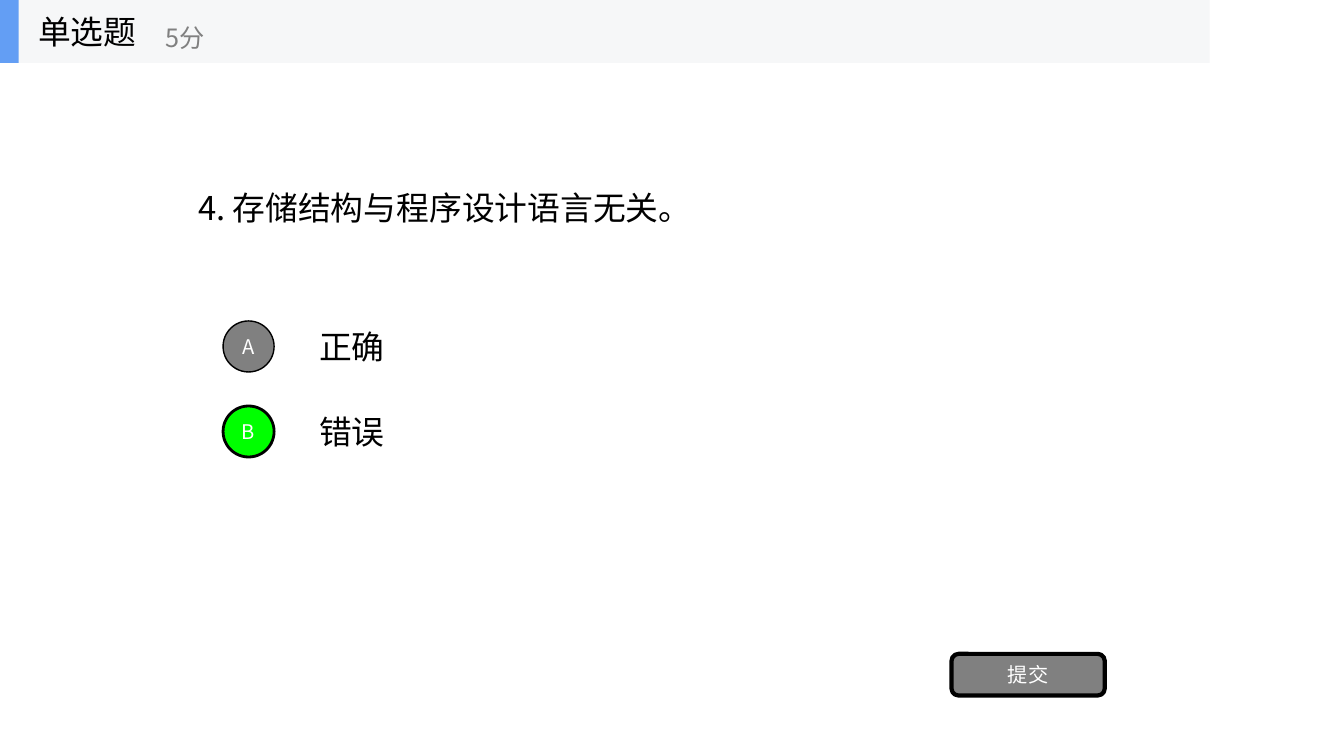
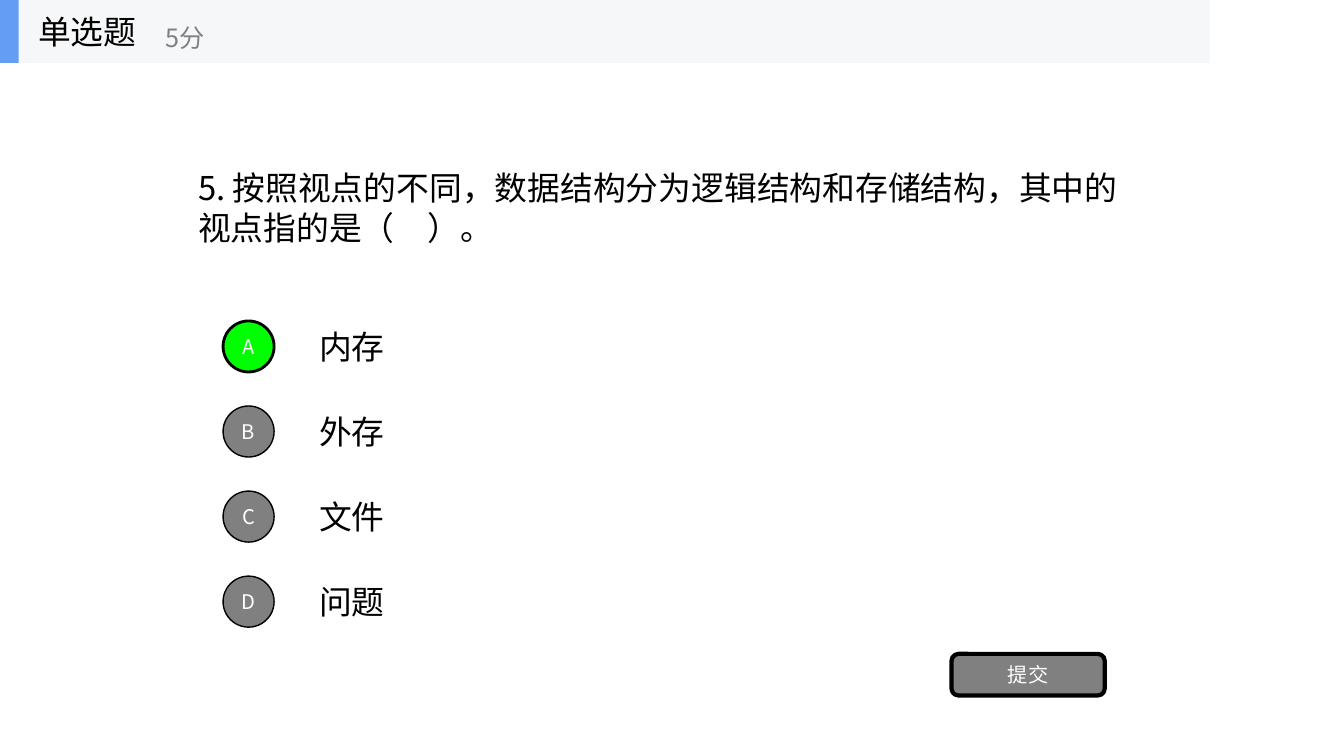
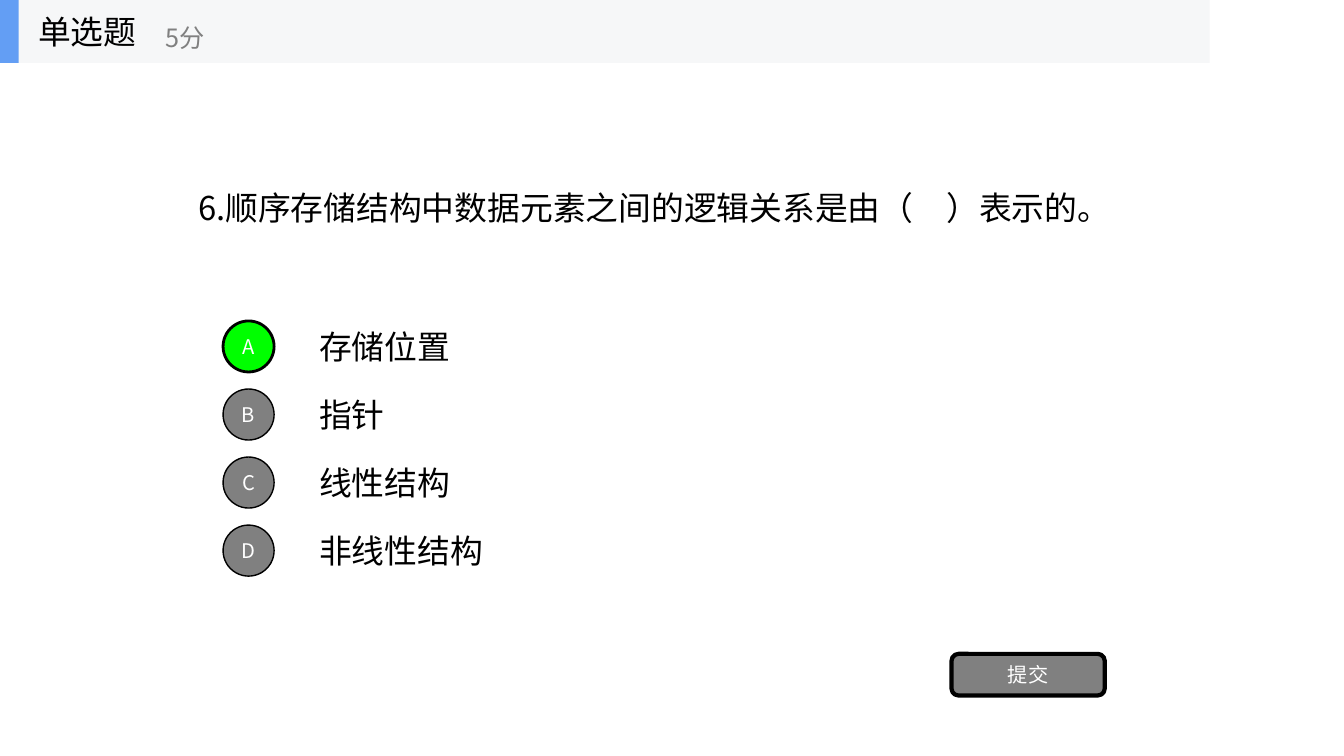
from pptx import Presentation
from pptx.dml.color import RGBColor
from pptx.enum.shapes import MSO_SHAPE as Shape
from pptx.enum.text import MSO_ANCHOR as Anchor, PP_ALIGN as Align
from pptx.oxml.ns import qn
from pptx.util import Inches, Pt
from lxml.etree import SubElement

BLACK = RGBColor(0x00, 0x00, 0x00)
WHITE = RGBColor(0xFF, 0xFF, 0xFF)
GRAY = RGBColor(0x80, 0x80, 0x80)
GREEN = RGBColor(0x00, 0xFF, 0x00)
BAND = RGBColor(0xF6, 0xF7, 0xF8)
BLUE = RGBColor(0x63, 0x9E, 0xF4)
FONT = "Noto Sans CJK SC"

# Sizes and places, from the slide's width and height
WIDTH, HEIGHT = Inches(13.33), Inches(7.5)
BODY_SIZE, SCORE_SIZE, LABEL_SIZE = 23.4, 18, 14.4
ROW = HEIGHT / 12
CIRCLE = 0.0675 * HEIGHT
FIRST_OPTION = 5 * ROW
QUESTION_LEFT, QUESTION_WIDTH = 0.14 * WIDTH, 0.72 * WIDTH
CIRCLE_LEFT = 0.166 * WIDTH
OPTION_LEFT, OPTION_WIDTH = 0.23 * WIDTH, 0.63 * WIDTH

# Question, options, index of the right answer, option pitch as a share of height
QUESTIONS = [
    ("4. 存储结构与程序设计语言无关。", ["正确", "错误"], 1, 0.1125),
    ("5. 按照视点的不同，数据结构分为逻辑结构和存储结构，其中的视点指的是（　）。",
     ["内存", "外存", "文件", "问题"], 0, 0.1125),
    ("6.顺序存储结构中数据元素之间的逻辑关系是由（　）表示的。",
     ["存储位置", "指针", "线性结构", "非线性结构"], 0, 0.09),
]


def add_text(shapes, box, text, size, color=BLACK, wrap=True, shape=None):
    """Write text into the given shape, or into a new text box."""
    if shape is None:
        shape = shapes.add_textbox(*map(int, box))
    frame = shape.text_frame
    frame.word_wrap = wrap
    frame.vertical_anchor = Anchor.MIDDLE
    paragraph = frame.paragraphs[0]
    paragraph.text = text
    font = paragraph.font
    font.size, font.name = Pt(size), FONT
    font.color.rgb = color
    # East Asian typeface beside the Latin one
    properties = paragraph._p.pPr.find(qn("a:defRPr"))
    SubElement(properties, qn("a:ea")).set("typeface", FONT)
    return paragraph


def add_block(shapes, kind, box, fill, line=0, label=""):
    """Draw a filled shape, with a black outline and a centred label if given."""
    shape = shapes.add_shape(kind, *map(int, box))
    shape.shadow.inherit = False
    shape.fill.solid()
    shape.fill.fore_color.rgb = fill
    if line:
        shape.line.color.rgb = BLACK
        shape.line.width = Pt(line)
    else:
        shape.line.fill.background()
    if label:
        frame = shape.text_frame
        frame.margin_left = frame.margin_right = 0
        frame.margin_top = frame.margin_bottom = 0
        paragraph = add_text(shapes, box, label, LABEL_SIZE, WHITE, shape=shape)
        paragraph.alignment = Align.CENTER


presentation = Presentation()
presentation.slide_width, presentation.slide_height = WIDTH, HEIGHT

for question, options, answer, pitch in QUESTIONS:
    slide = presentation.slides.add_slide(presentation.slide_layouts[6])
    shapes = slide.shapes

    # Question
    question_box = (QUESTION_LEFT, 1.6 * ROW, QUESTION_WIDTH, 3.38 * ROW)
    add_text(shapes, question_box, question, BODY_SIZE)

    # Options, the right answer in green
    for index, option in enumerate(options):
        top = FIRST_OPTION + index * pitch * HEIGHT
        add_text(shapes, (OPTION_LEFT, top, OPTION_WIDTH, ROW), option, BODY_SIZE)
        right = index == answer
        circle_box = (CIRCLE_LEFT, top + (ROW - CIRCLE) / 2, CIRCLE, CIRCLE)
        add_block(shapes, Shape.OVAL, circle_box, GREEN if right else GRAY,
                  2 if right else 1, "ABCD"[index])

    # Submit button
    button_box = (0.708 * WIDTH, 0.865 * HEIGHT, 0.114 * WIDTH, 0.055 * HEIGHT)
    add_block(shapes, Shape.ROUNDED_RECTANGLE, button_box, GRAY, 3, "提交")

    # Header band with question type and score
    header = shapes.add_group_shape().shapes
    add_block(header, Shape.RECTANGLE, (0, 0, 0.9 * WIDTH, ROW), BAND)
    add_block(header, Shape.RECTANGLE, (0, 0, 0.014 * WIDTH, ROW), BLUE)
    add_text(header, (0.021 * WIDTH, 0, 0.14 * WIDTH, ROW), "单选题", BODY_SIZE, wrap=False)
    add_text(header, (0.116 * WIDTH, 0.2 * ROW, 0.17 * WIDTH, 0.8 * ROW), "5分",
             SCORE_SIZE, GRAY, wrap=False)

presentation.save("out.pptx")
